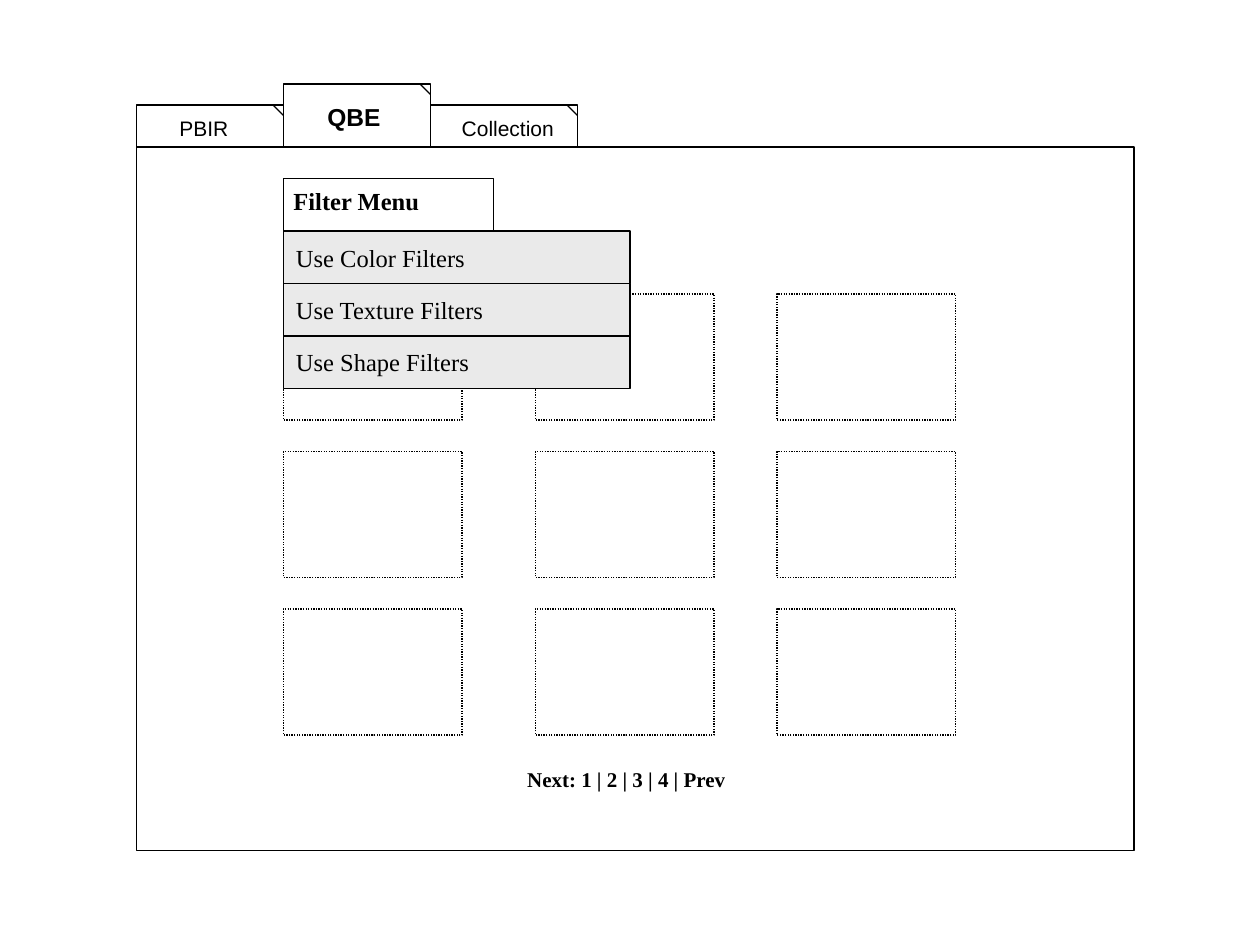
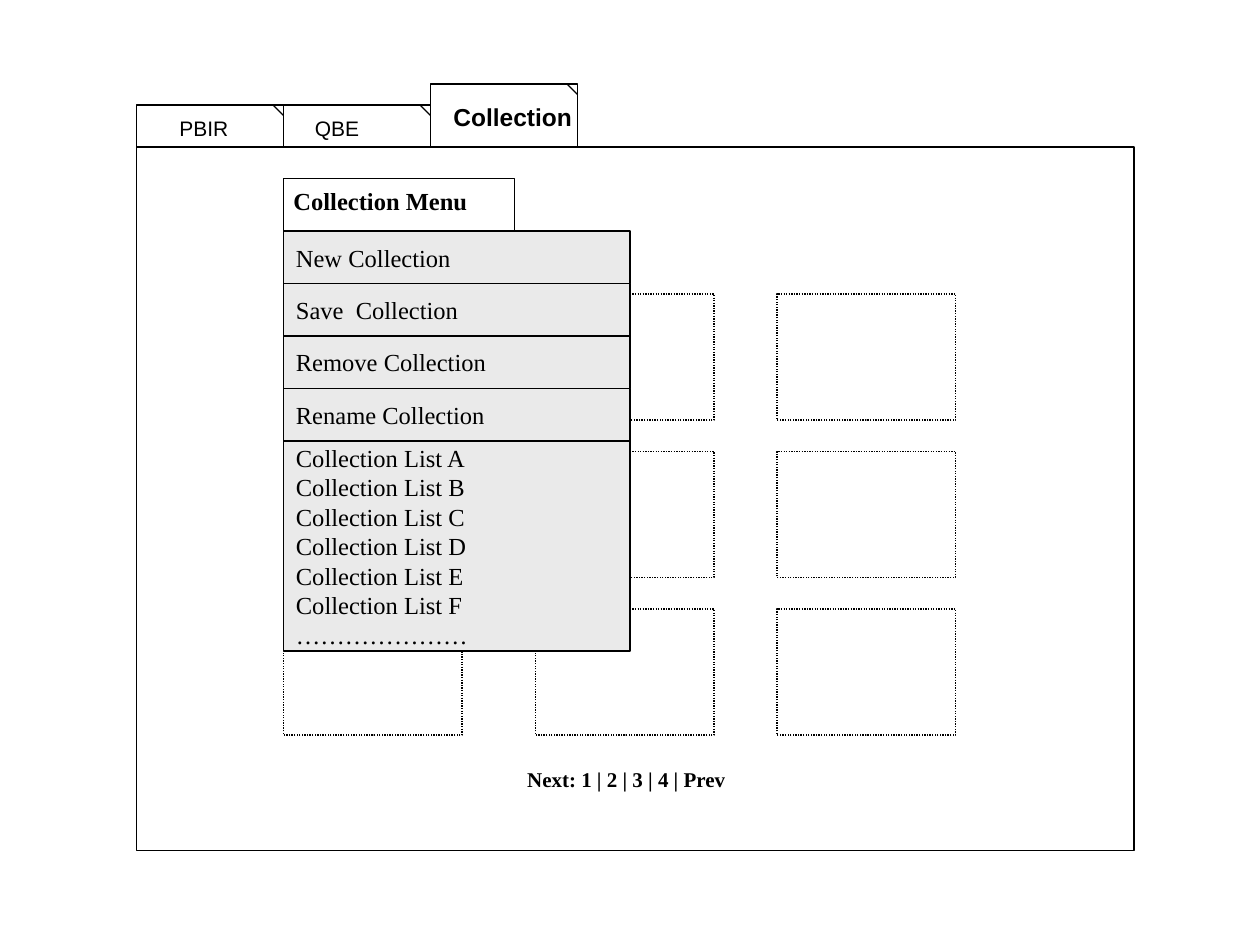
from itertools import product
from lxml.etree import SubElement
from pptx import Presentation
from pptx.dml.color import RGBColor
from pptx.enum.dml import MSO_LINE
from pptx.enum.shapes import MSO_CONNECTOR, MSO_SHAPE
from pptx.enum.text import MSO_ANCHOR, PP_ALIGN
from pptx.oxml.ns import qn
from pptx.util import Pt

SCREENS = [
    {
        "active": "QBE",
        "active_offset": 18,
        "menu": "Filter Menu",
        "menu_width": 120,
        "items": ["Use Color Filters", "Use Texture Filters", "Use Shape Filters"],
        "collections": [],
    },
    {
        "active": "Collection",
        "active_offset": 6,
        "menu": "Collection Menu",
        "menu_width": 132,
        "items": ["New Collection", "Save  Collection", "Remove Collection", "Rename Collection"],
        "collections": [f"Collection List {letter}" for letter in "ABCDEF"] + ["…………………"],
    },
]
TAB_OFFSETS = {"PBIR": 17.4, "QBE": 10.8, "Collection": 10.8}
PAGER = "Next: 1 | 2 | 3 | 4 | Prev"

INK, MENU_FILL = "000000", "EAEAEA"
SANS, SERIF = "Arial", "Times New Roman"
FRAME_LEFT, FRAME_TOP, FRAME_WIDTH, FRAME_HEIGHT = 78, 84, 570, 402
TAB_WIDTH, TAB_HEIGHT, ACTIVE_HEIGHT, FOLD = 84, 24, 36, 6
MENU_LEFT, MENU_TOP, ITEM_WIDTH, ITEM_HEIGHT = 162, 102, 198, 30
LIST_HEIGHT = 120
COLUMNS, ROWS = (162, 306, 444), (168, 258, 348)
THUMB_WIDTH, THUMB_HEIGHT = 102, 72


def color(value):
    return RGBColor.from_string(value)


def write(shape, lines, font, size, bold=False, align=PP_ALIGN.LEFT):
    frame = shape.text_frame
    frame.text = "\n".join(lines)
    frame.word_wrap = True
    for para in frame.paragraphs:
        para.alignment = align
        for span in para.runs:
            span.font.name = font
            span.font.size = Pt(size)
            span.font.bold = bold
            span.font.color.rgb = color(INK)


def add_rect(page, left, top, width, height, fill=None):
    rect = page.shapes.add_shape(MSO_SHAPE.RECTANGLE, Pt(left), Pt(top), Pt(width), Pt(height))
    rect.shadow.inherit = False
    if fill:
        rect.fill.solid()
        rect.fill.fore_color.rgb = color(fill)
    else:
        rect.fill.background()
    rect.line.color.rgb = color(INK)
    rect.line.width = Pt(0.75)
    return rect


def add_label(page, text, left, top, width, height, font, size, bold=False, align=PP_ALIGN.LEFT):
    box = page.shapes.add_textbox(Pt(left), Pt(top), Pt(width), Pt(height))
    write(box, [text], font, size, bold, align)


def add_fold(page, right, top):
    line = page.shapes.add_connector(
        MSO_CONNECTOR.STRAIGHT, Pt(right - FOLD), Pt(top), Pt(right), Pt(top + FOLD))
    line.line.color.rgb = color(INK)
    line.line.width = Pt(0.75)
    SubElement(line._element.spPr, qn("a:effectLst"))


def add_tabs(page, screen):
    for index, (name, offset) in enumerate(TAB_OFFSETS.items()):
        active = name == screen["active"]
        height = ACTIVE_HEIGHT if active else TAB_HEIGHT
        left, top = FRAME_LEFT + index * TAB_WIDTH, FRAME_TOP - height
        add_rect(page, left, top, TAB_WIDTH, height)
        add_fold(page, left + TAB_WIDTH, top)
        if active:
            add_label(page, name, left + screen["active_offset"], top + 6.6, 84, 24.4, SANS, 14, True)
        else:
            add_label(page, name, left + offset, top + 2.6, 67, 21.8, SANS, 12)


def add_menu_entry(page, lines, top, height):
    entry = add_rect(page, MENU_LEFT, top, ITEM_WIDTH, height, MENU_FILL)
    entry.text_frame.vertical_anchor = MSO_ANCHOR.MIDDLE
    write(entry, lines, SERIF, 14)


def add_menu(page, screen):
    add_rect(page, MENU_LEFT, MENU_TOP, screen["menu_width"], ITEM_HEIGHT)
    add_label(page, screen["menu"], MENU_LEFT - 1.4, MENU_TOP + 1, 121, 24.4, SERIF, 14, True)
    top = MENU_TOP + ITEM_HEIGHT
    for item in screen["items"]:
        add_menu_entry(page, [item], top, ITEM_HEIGHT)
        top += ITEM_HEIGHT
    if screen["collections"]:
        add_menu_entry(page, screen["collections"], top, LIST_HEIGHT)


def add_screen(deck, screen):
    page = deck.slides.add_slide(deck.slide_layouts[6])
    add_rect(page, FRAME_LEFT, FRAME_TOP, FRAME_WIDTH, FRAME_HEIGHT)
    add_tabs(page, screen)
    for left, top in product(COLUMNS, ROWS):
        thumb = add_rect(page, left, top, THUMB_WIDTH, THUMB_HEIGHT)
        thumb.line.dash_style = MSO_LINE.ROUND_DOT
    add_menu(page, screen)
    add_label(page, PAGER, 292.4, 434.6, 131, 22, SERIF, 12, True, PP_ALIGN.CENTER)


def main():
    deck = Presentation()
    deck.slide_width, deck.slide_height = Pt(720), Pt(540)
    for screen in SCREENS:
        add_screen(deck, screen)
    deck.save("out.pptx")


if __name__ == "__main__":
    main()
